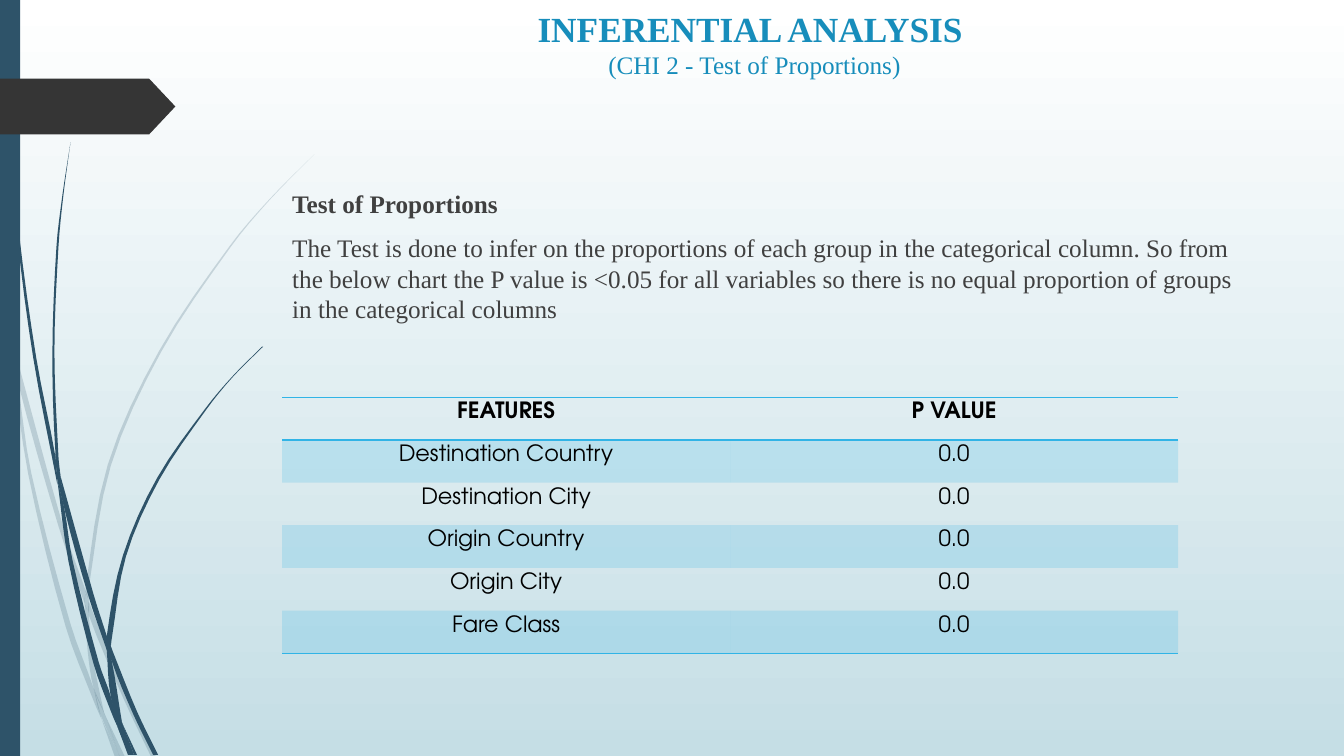
import math

import pptx
import pptx.dml.color
import pptx.enum.shapes
import pptx.enum.text
import pptx.oxml
import pptx.oxml.ns
import pptx.util

Cm, Pt, qn = pptx.util.Cm, pptx.util.Pt, pptx.oxml.ns.qn
ANCHOR, ALIGN = pptx.enum.text.MSO_ANCHOR, pptx.enum.text.PP_ALIGN
NS = pptx.oxml.ns.nsdecls("a")

# Content
TITLE = [
    ("INFERENTIAL ANALYSIS ", dict(size=Pt(25.2), bold=True)),
    ("(CHI 2 - Test of Proportions)", dict(size=Pt(18), bold=False)),
]
BODY = [
    ("Test of Proportions", True),
    ("The Test is done to infer on the proportions of each group in the "
     "categorical column. So from the below chart the P value is <0.05 for all "
     "variables so there is no equal proportion of groups in the categorical "
     "columns", False),
]
ROWS = [
    ("FEATURES", "P VALUE"),
    ("Destination Country", "0.0"),
    ("Destination City", "0.0"),
    ("Origin Country", "0.0"),
    ("Origin City", "0.0"),
    ("Fare Class", "0.0"),
]

# Colours and fonts
NAVY, CHARCOAL, SKY = "2E5369", "353535", "31B4E6"
SERIF, SANS = "Times New Roman", "TeX Gyre Adventor"

# Grass blades: left edge and right edge, in steps of 0.0254 cm
STEP = Cm(0.0254)
PALE_BLADES = [
    ([(0, 299), (10, 344), (11, 350)], [(0, 282), (9, 322), (11, 350)]),
    ([(14, 345), (17, 376), (58, 522), (84, 599)], [(14, 345), (62, 520), (85, 586)]),
    ([(88, 596), (88, 610), (123, 694), (150, 751)],
     [(88, 596), (92, 607), (127, 692), (155, 751)]),
    ([(105, 711), (119, 751)], [(105, 711), (124, 751)]),
    ([(11, 350), (28, 470), (65, 621), (92, 693), (101, 714)],
     [(11, 350), (17, 376), (31, 469), (70, 619), (93, 683), (101, 714)]),
    ([(84, 599), (87, 646), (93, 683), (105, 711)],
     [(84, 599), (88, 610), (91, 646), (103, 706), (105, 711)]),
    ([(312, 153), (268, 197), (228, 244), (158, 348), (107, 461), (85, 584), (88, 596)],
     [(312, 153), (268, 198), (229, 245), (160, 349), (110, 462), (88, 584), (88, 596)]),
    ([(101, 714), (114, 751)], [(101, 714), (119, 751)]),
    ([(85, 586), (84, 599), (88, 608)], [(85, 586), (88, 596), (88, 610)]),
    ([(93, 683), (99, 707), (119, 751)], [(93, 683), (105, 711), (119, 751)]),
]
DARK_BLADES = [
    ([(3, 0), (4, 48), (7, 110), (17, 233), (33, 355), (57, 481)],
     [(4, 0), (5, 48), (8, 109), (19, 232), (36, 355), (55, 453), (57, 481)]),
    ([(60, 472), (64, 505), (88, 592), (106, 645)], [(60, 472), (93, 590), (106, 631)]),
    ([(110, 641), (111, 656), (132, 708), (152, 749)],
     [(110, 641), (113, 649), (136, 706), (157, 749)]),
    ([(57, 477), (68, 557), (93, 659), (111, 708), (117, 722)],
     [(57, 477), (64, 505), (72, 556), (98, 657), (110, 691), (117, 722)]),
    ([(70, 141), (62, 193), (56, 245), (52, 349), (55, 449), (60, 472)],
     [(70, 141), (63, 193), (58, 245), (54, 349), (58, 453), (60, 472)]),
    ([(122, 719), (133, 749)], [(122, 719), (136, 749)]),
    ([(55, 449), (55, 453), (57, 477)], [(55, 449), (60, 472), (64, 505)]),
    ([(260, 344), (231, 373), (204, 405), (156, 474), (122, 551), (106, 631), (110, 641)],
     [(261, 344), (231, 374), (205, 406), (158, 476), (125, 552), (111, 633), (110, 641)]),
    ([(117, 722), (127, 749)], [(117, 722), (131, 749)]),
    ([(106, 645), (110, 691), (122, 719)], [(106, 645), (111, 656), (121, 716), (122, 719)]),
    ([(106, 631), (106, 645), (111, 656)], [(106, 631), (110, 641), (111, 656)]),
    ([(110, 691), (117, 722), (130, 749)], [(110, 691), (122, 719), (133, 749)]),
]


def rgb(code):
    return pptx.dml.color.RGBColor.from_string(code)


def style(obj, **values):
    for name, value in values.items():
        setattr(obj, name, value)


def set_font(font, color, **values):
    style(font, **values)
    font.color.rgb = rgb(color)


def set_fill(fill, color, holder, alpha=100):
    fill.solid()
    fill.fore_color.rgb = rgb(color)
    if alpha < 100:
        clr = holder.find(qn("a:solidFill")).find(qn("a:srgbClr"))
        clr.append(pptx.oxml.parse_xml(f'<a:alpha {NS} val="{alpha * 1000}"/>'))


def paint(sp, color, alpha=100):
    sp.shadow.inherit = False
    set_fill(sp.fill, color, sp._element.spPr, alpha)
    sp.line.fill.background()


def smooth(points, parts=4):
    """Curve through the points, with tangents weighted by distance."""
    ends = [points[0], *points, points[-1]]
    curve = []
    for a, b, c, d in zip(ends, ends[1:], ends[2:], ends[3:]):
        h = math.dist(b, c)
        k_in, k_out = h / (math.dist(a, b) + h), h / (h + math.dist(c, d))
        for t in (i / parts for i in range(parts)):
            curve.append(tuple(
                STEP * (q + (r - q) * t * t * (3 - 2 * t)
                        + (r - p) * k_in * t * (1 - t) ** 2
                        - (s - q) * k_out * t * t * (1 - t))
                for p, q, r, s in zip(a, b, c, d)))
    return curve + [tuple(STEP * v for v in points[-1])]


def add_border(cell, side, at=0):
    cell._tc.get_or_add_tcPr().insert(at, pptx.oxml.parse_xml(
        f'<a:{side} {NS} w="12700"><a:solidFill>'
        f'<a:srgbClr val="{SKY}"/></a:solidFill></a:{side}>'))


prs = pptx.Presentation()
style(prs, slide_width=Cm(33.87), slide_height=Cm(19.05))
s = prs.slides.add_slide(prs.slide_layouts[1])

# Background
bg = s.background.fill
bg.gradient()
bg.gradient_angle = 270
for stop, color in zip(bg.gradient_stops, ("FFFFFF", "C5DEE5")):
    stop.color.rgb = rgb(color)

# Grass, side bar and arrow tag
for blades, alpha in ((PALE_BLADES, 20), (DARK_BLADES, 100)):
    for left, right in blades:
        start, *rest = smooth(left) + smooth(right)[::-1]
        fb = s.shapes.build_freeform(*start)
        fb.add_line_segments(rest, close=True)
        paint(fb.convert_to_shape(), NAVY, alpha)

SHAPE = pptx.enum.shapes.MSO_SHAPE
bar = s.shapes.add_shape(SHAPE.RECTANGLE, 0, 0, Cm(0.51), prs.slide_height)
paint(bar, NAVY)
tag = s.shapes.add_shape(SHAPE.PENTAGON, 0, Cm(1.98), Cm(4.42), Cm(1.41))
tag.adjustments[0] = 0.47
paint(tag, CHARCOAL)

# Title
title, body = s.placeholders
style(title, left=Cm(6.63), top=0, width=Cm(24.77), height=Cm(2.21))
tf = title.text_frame
style(tf, word_wrap=True, vertical_anchor=ANCHOR.TOP, margin_top=Cm(0.18),
      auto_size=pptx.enum.text.MSO_AUTO_SIZE.NONE)
p = tf.paragraphs[0]
p.alignment = ALIGN.CENTER
for i, (text, values) in enumerate(TITLE):
    if i:
        p.add_line_break()
    r = p.add_run()
    r.text = text
    set_font(r.font, "178DBB", name=SERIF, **values)

# Body
style(body, left=Cm(7.11), top=Cm(4.62), width=Cm(24.77), height=Cm(14.43))
tf = body.text_frame
style(tf, word_wrap=True, vertical_anchor=ANCHOR.TOP,
      auto_size=pptx.enum.text.MSO_AUTO_SIZE.NONE)
for i, (text, bold) in enumerate(BODY):
    p = tf.add_paragraph() if i else tf.paragraphs[0]
    style(p, alignment=ALIGN.LEFT, space_before=Pt(10 if i else 0))
    pPr = p._p.get_or_add_pPr()
    pPr.set("marL", "0")
    pPr.set("indent", "0")
    pPr.append(pptx.oxml.parse_xml(f"<a:buNone {NS}/>"))
    r = p.add_run()
    r.text = text
    set_font(r.font, "404040", name=SERIF, size=Pt(18), bold=bold)

# Table
frame = s.shapes.add_table(len(ROWS), 2, Cm(7.11), Cm(10.01), Cm(22.58), Cm(6.45))
table = frame.table
style(table, first_row=False, horz_banding=False)
table._tbl.tblPr.find(qn("a:tableStyleId")).text = "{2D5ABB26-0587-4C30-8999-92F81FD0307C}"
for i, row in enumerate(ROWS):
    for j, text in enumerate(row):
        cell = table.cell(i, j)
        style(cell, text=text, margin_top=Cm(0.13), margin_bottom=0,
              vertical_anchor=ANCHOR.TOP)
        p = cell.text_frame.paragraphs[0]
        p.alignment = ALIGN.CENTER
        set_font(p.runs[0].font, "000000", name=SANS, size=Pt(16), bold=i == 0)
        if i % 2:
            set_fill(cell.fill, SKY, cell._tc.tcPr, 20)
        else:
            cell.fill.background()
        if i in (0, len(ROWS) - 1):
            add_border(cell, "lnB")
        if i == 0:
            add_border(cell, "lnT")

prs.save("out.pptx")
